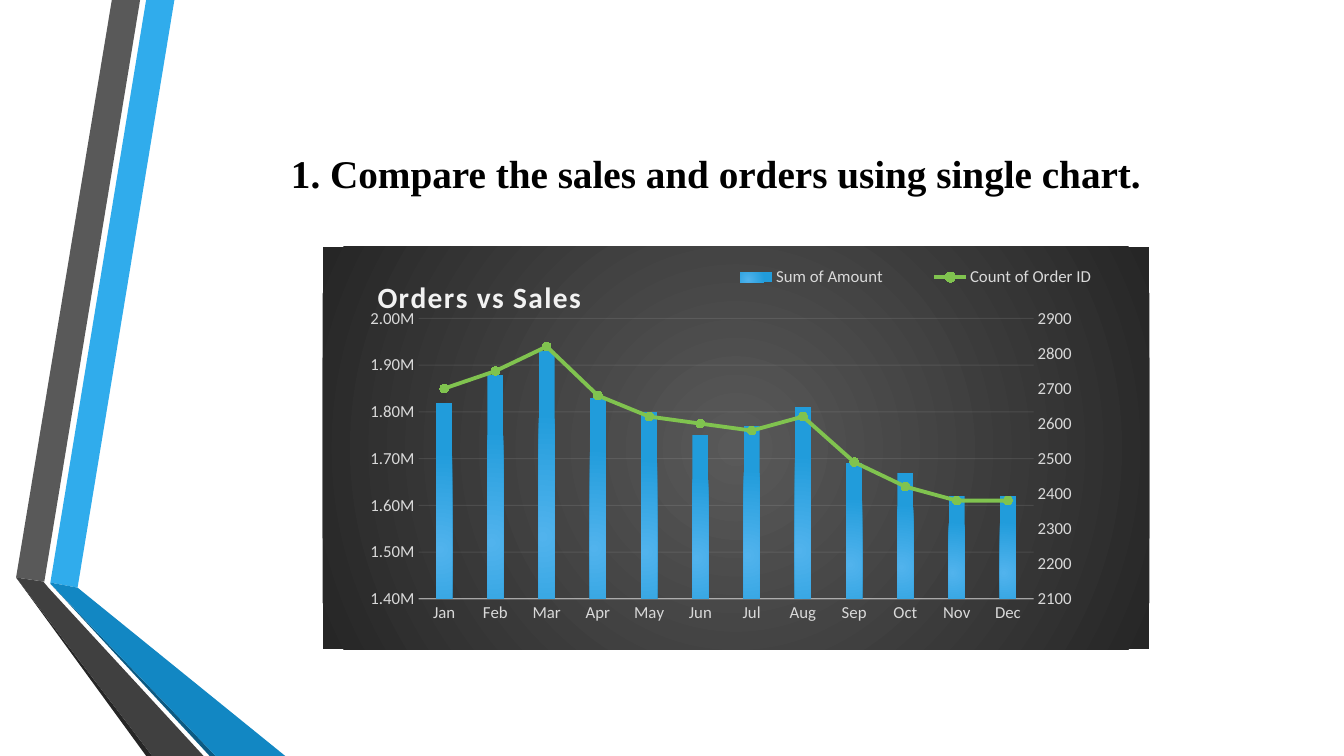
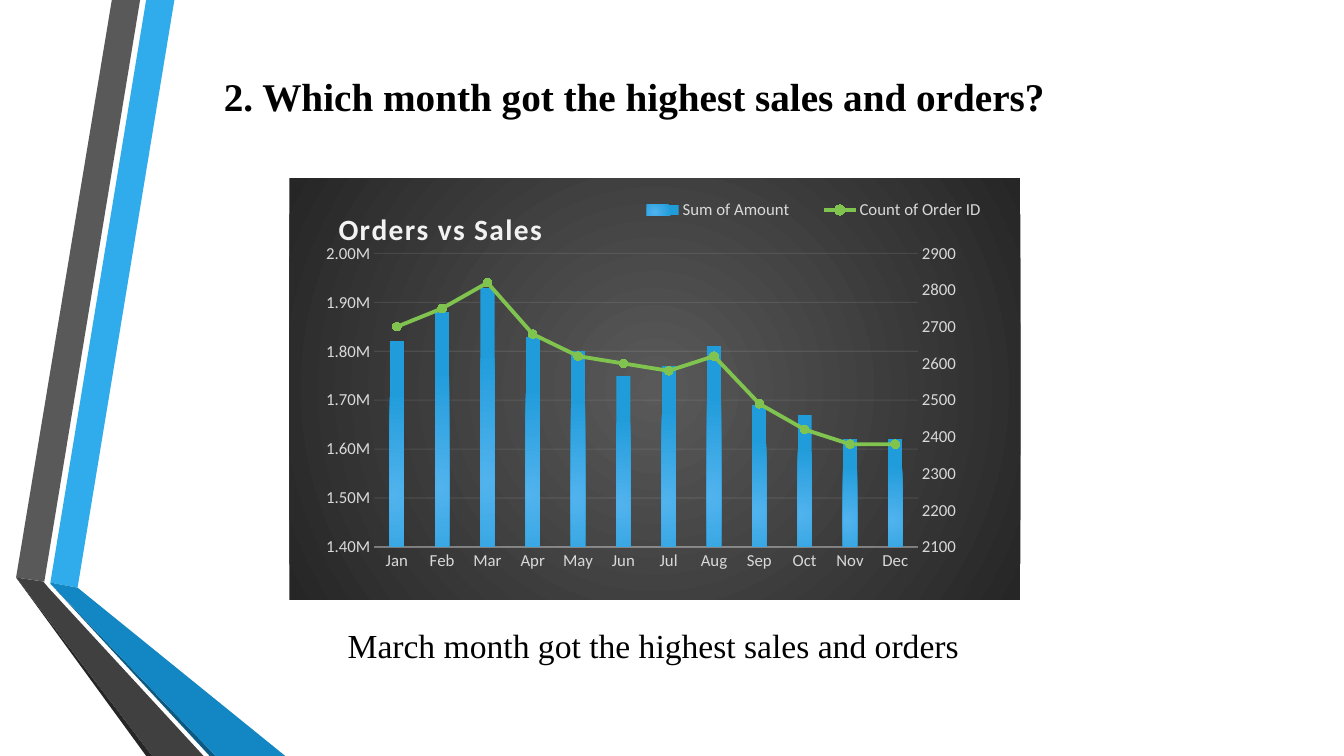
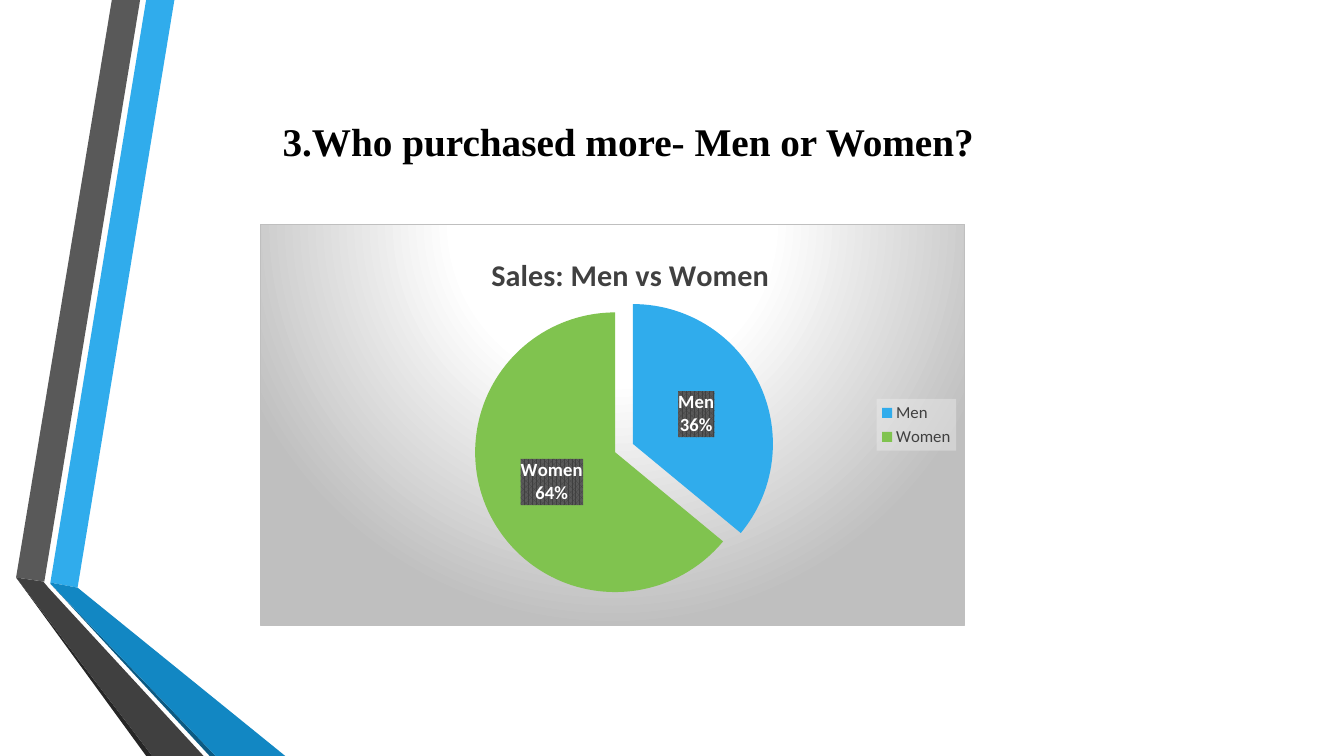
from lxml.etree import SubElement
from pptx import Presentation
from pptx.chart.axis import ValueAxis
from pptx.chart.data import CategoryChartData
from pptx.dml.color import RGBColor
from pptx.enum.chart import (XL_CHART_TYPE, XL_LABEL_POSITION, XL_LEGEND_POSITION,
                             XL_MARKER_STYLE, XL_TICK_MARK)
from pptx.enum.text import MSO_ANCHOR, MSO_AUTO_SIZE, PP_ALIGN
from pptx.oxml import parse_xml
from pptx.oxml.ns import nsdecls, qn
from pptx.util import Inches, Pt

TEXT_FONT, CHART_FONT = "Times New Roman", "Calibri"
BLACK, WHITE, BLUE, GREEN = "000000", "FFFFFF", "30ACEC", "80C34F"
CHARCOAL, PALE, AXIS_GREY, SILVER = "404040", "F2F2F2", "D9D9D9", "BFBFBF"

RIBBONS = [
    (BLUE, [(0.5, 5.78), (0.77, 5.83), (1.73, 0), (1.45, 0)]),
    ("595959", [(1.39, 0), (1.11, 0), (0.16, 5.73), (0.44, 5.77)]),
    ("262626", [(0.16, 5.73), (1.45, 7.5), (1.51, 7.5)]),
    ("0C5A82", [(0.5, 5.79), (2.08, 7.5), (2.14, 7.5)]),
    ("1287C3", [(0.5, 5.79), (2.14, 7.5), (2.83, 7.5), (0.77, 5.83), (0.5, 5.78)]),
    (CHARCOAL, [(2.02, 7.5), (0.48, 5.83), (0.43, 5.77), (0.16, 5.73), (1.51, 7.5)]),
]

MONTHS = ["Jan", "Feb", "Mar", "Apr", "May", "Jun",
          "Jul", "Aug", "Sep", "Oct", "Nov", "Dec"]
AMOUNTS = [1820000, 1880000, 1930000, 1830000, 1800000, 1750000,
           1770000, 1810000, 1690000, 1670000, 1620000, 1620000]
ORDERS = [2700, 2750, 2820, 2680, 2620, 2600, 2580, 2620, 2490, 2420, 2380, 2380]


def rgb(colour):
    """Turn a hex string into a colour."""
    return RGBColor.from_string(colour)


def style_font(font, size, colour, bold=False, face=CHART_FONT):
    """Set face, size, colour and weight of a font."""
    font.name, font.size, font.bold = face, Pt(size), bold
    font.color.rgb = rgb(colour)


def style_line(line, colour, width):
    """Give a line a solid colour and a width."""
    line.color.rgb = rgb(colour)
    line.width = Pt(width)


def fade(colour_nodes, percent):
    """Make solid colours partly transparent."""
    for node in colour_nodes:
        SubElement(node, qn("a:alpha"), val=str(percent * 1000))


def add_ribbons(slide, master):
    """Draw the folded ribbons and put them behind everything on the master."""
    ribbons = slide.shapes.add_group_shape()
    for colour, outline in RIBBONS:
        points = [(Inches(x), Inches(y)) for x, y in outline]
        builder = ribbons.shapes.build_freeform(*points[0])
        builder.add_line_segments(points[1:], close=True)
        ribbon = builder.convert_to_shape()
        ribbon.shadow.inherit = False
        ribbon.fill.solid()
        ribbon.fill.fore_color.rgb = rgb(colour)
        ribbon.line.fill.background()
    for number, properties in enumerate(ribbons.element.xpath(".//p:cNvPr"), 100):
        properties.set("id", str(number))
    master.shapes.element.insert(2, ribbons.element)


def fill_placeholder(placeholder, text, box, size, anchor, bold=False):
    """Move a placeholder and set its one centred line of text."""
    (placeholder.left, placeholder.top,
     placeholder.width, placeholder.height) = map(Inches, box)
    frame = placeholder.text_frame
    frame.text = text
    frame.auto_size = MSO_AUTO_SIZE.NONE
    frame.vertical_anchor = anchor
    paragraph = frame.paragraphs[0]
    paragraph.alignment = PP_ALIGN.CENTER
    paragraph.space_before = Pt(0)
    return paragraph, size, bold


def add_title(slide, text, box, anchor=MSO_ANCHOR.MIDDLE):
    """Write the slide's question into its title."""
    paragraph, size, bold = fill_placeholder(slide.shapes.title, text, box, 28, anchor, True)
    style_font(paragraph.font, size, BLACK, bold, TEXT_FONT)


def add_answer(slide, text, box):
    """Write the answer into the body placeholder, without a bullet."""
    paragraph, size, bold = fill_placeholder(
        slide.placeholders[1], text, box, 24, MSO_ANCHOR.BOTTOM)
    paragraph.space_after = Pt(6)
    properties = paragraph._p.get_or_add_pPr()
    properties.set("marL", "0")
    properties.set("indent", "0")
    SubElement(properties, qn("a:buNone"))
    style_font(paragraph.font, size, BLACK, bold, TEXT_FONT)


def radial_fill(stops, focus):
    """Build a circular gradient fill from stops and a focus rectangle in percent."""
    marks = "".join(f'<a:gs pos="{at * 1000}"><a:srgbClr val="{colour}"/></a:gs>'
                    for at, colour in stops)
    sides = " ".join(f'{side}="{value * 1000}"' for side, value in zip("ltrb", focus))
    return (f'<a:gradFill {nsdecls("a")}><a:gsLst>{marks}</a:gsLst>'
            f'<a:path path="circle"><a:fillToRect {sides}/></a:path></a:gradFill>')


def chart_properties(fill, border=None):
    """Build the fill and border of a part of a chart."""
    stroke = (f'<a:ln w="9525"><a:solidFill><a:srgbClr val="{border}"/></a:solidFill></a:ln>'
              if border else "<a:ln><a:noFill/></a:ln>")
    return parse_xml(f'<c:spPr {nsdecls("c", "a")}>{fill}{stroke}</c:spPr>')


def set_layout(part, box, target=""):
    """Place a chart part by fractions of the chart's size."""
    for old in part.findall(qn("c:layout")):
        part.remove(old)
    modes = "".join(f'<c:{axis}Mode val="edge"/>' for axis in "xy")
    sizes = "".join(f'<c:{name} val="{value}"/>' for name, value in zip("xywh", box))
    layout = parse_xml(f'<c:layout {nsdecls("c")}><c:manualLayout>{target}{modes}{sizes}'
                       '</c:manualLayout></c:layout>')
    overlay = part.find(qn("c:overlay"))
    if overlay is None:
        part.insert(0, layout)
    else:
        overlay.addprevious(layout)


def add_chart(slide, kind, data, box, title, title_style, title_at, plot_box, area, legend_colour):
    """Add a chart with its background, title, legend and plot area."""
    chart = slide.shapes.add_chart(kind, *map(Inches, box), data).chart
    style_font(chart.font, 12, legend_colour)
    space = chart.element
    for old in space.findall(qn("c:roundedCorners")):
        space.remove(old)
    body = space.find(qn("c:chart"))
    body.addprevious(parse_xml(f'<c:roundedCorners {nsdecls("c")} val="0"/>'))
    body.addnext(area)

    chart.has_title = True
    heading = chart.chart_title.text_frame
    heading.text = title
    style_font(heading.paragraphs[0].font, *title_style, True)
    set_layout(space.xpath("c:chart/c:title")[0], title_at)

    chart.has_legend = True
    chart.legend.position = XL_LEGEND_POSITION.RIGHT
    chart.legend.include_in_layout = False
    style_font(chart.legend.font, 12, legend_colour)
    set_layout(space.xpath("c:chart/c:plotArea")[0], plot_box,
               '<c:layoutTarget val="inner"/>')
    return chart


def style_axis(axis, number_format=None, scale=None):
    """Set labels, ticks and range of an axis and hide its line."""
    axis.major_tick_mark = axis.minor_tick_mark = XL_TICK_MARK.NONE
    style_font(axis.tick_labels.font, 12, AXIS_GREY)
    axis.format.line.fill.background()
    if scale:
        axis.minimum_scale, axis.maximum_scale, axis.major_unit = scale
        axis.tick_labels.number_format = number_format
        axis.tick_labels.number_format_is_linked = False


def move_to_second_axis(chart):
    """Turn the second series into a line on a right axis and return that axis."""
    bars = chart.element.xpath(".//c:barChart")[0]
    orders = bars.findall(qn("c:ser"))[1]
    for flag in orders.findall(qn("c:invertIfNegative")):
        orders.remove(flag)
    line = parse_xml(
        f'<c:lineChart {nsdecls("c")}><c:grouping val="standard"/><c:varyColors val="0"/>'
        '<c:marker val="1"/><c:axId val="5001"/><c:axId val="5002"/></c:lineChart>')
    line.insert(2, orders)
    bars.addnext(line)
    months = parse_xml(
        f'<c:catAx {nsdecls("c")}><c:axId val="5001"/><c:scaling/><c:delete val="1"/>'
        '<c:axPos val="b"/><c:crossAx val="5002"/></c:catAx>')
    counts = parse_xml(
        f'<c:valAx {nsdecls("c")}><c:axId val="5002"/><c:scaling/><c:delete val="0"/>'
        '<c:axPos val="r"/><c:tickLblPos val="nextTo"/><c:crossAx val="5001"/>'
        '<c:crosses val="max"/></c:valAx>')
    left_axis = chart.element.xpath(".//c:valAx")[0]
    left_axis.addnext(months)
    months.addnext(counts)
    return ValueAxis(counts)


def add_orders_vs_sales(slide, box):
    """Add the monthly chart of sales columns and an orders line."""
    data = CategoryChartData()
    data.categories = MONTHS
    data.add_series("Sum of Amount", AMOUNTS)
    data.add_series("Count of Order ID", ORDERS)
    area = chart_properties(radial_fill([(0, "595959"), (100, "262626")], (50, 50, 50, 50)))
    chart = add_chart(slide, XL_CHART_TYPE.COLUMN_CLUSTERED, data, box, "Orders vs Sales",
                      (21, PALE), (0.06, 0.06), (0.116, 0.178, 0.744, 0.697),
                      area, AXIS_GREY)
    space = chart.element
    for properties in space.xpath(".//c:title//a:defRPr"):
        properties.set("spc", "100")
    set_layout(space.xpath(".//c:legend")[0], (0.45, 0.035, 0.535, 0.08))

    style_axis(chart.category_axis)
    style_line(chart.category_axis.format.line, PALE, 1)
    sales_axis = chart.value_axis
    style_axis(sales_axis, '0.00,,"M"', (1400000, 2000000, 100000))
    sales_axis.has_major_gridlines = True
    style_line(sales_axis.major_gridlines.format.line, PALE, 0.75)
    fade(space.xpath(".//c:catAx/c:spPr/a:ln//a:srgbClr"), 54)
    fade(space.xpath(".//c:majorGridlines//a:srgbClr"), 10)
    style_axis(move_to_second_axis(chart), "General", (2100, 2900, 100))

    columns, line = chart.plots
    columns.gap_width, columns.overlap = 219, -27
    columns.vary_by_categories = False
    sales, orders = columns.series[0], line.series[0]
    sales.format.line.fill.background()
    sales_fill = radial_fill([(0, "51B3ED"), (100, "219CDB")], (50, 100, 100, 50))
    space.xpath(".//c:barChart/c:ser/c:spPr")[0].insert(0, parse_xml(sales_fill))
    style_line(orders.format.line, GREEN, 2.75)
    orders.smooth = False
    orders.marker.style, orders.marker.size = XL_MARKER_STYLE.CIRCLE, 6
    orders.marker.format.fill.solid()
    orders.marker.format.fill.fore_color.rgb = rgb(GREEN)
    style_line(orders.marker.format.line, GREEN, 0.75)


def add_men_vs_women(slide, box):
    """Add the pie of sales by gender."""
    data = CategoryChartData()
    data.categories = ["Men", "Women"]
    data.add_series("Series 1", [36, 64])
    area = chart_properties(
        radial_fill([(0, WHITE), (39, WHITE), (100, SILVER)], (50, -80, 50, 180)), SILVER)
    chart = add_chart(slide, XL_CHART_TYPE.PIE, data, box, "Sales: Men vs Women",
                      (21.6, CHARCOAL), (0.32, 0.06), (0.202, 0.185, 0.629, 0.746),
                      area, CHARCOAL)
    space = chart.element
    legend_fill = chart_properties(
        f'<a:solidFill><a:srgbClr val="{PALE}"><a:alpha val="39000"/></a:srgbClr></a:solidFill>')
    space.xpath(".//c:legend/c:overlay")[0].addnext(legend_fill)

    pie = chart.plots[0]
    pie.vary_by_categories = True
    shares = pie.series[0]
    for index, colour in enumerate([BLUE, GREEN]):
        wedge = shares.points[index].format
        wedge.fill.solid()
        wedge.fill.fore_color.rgb = rgb(colour)
        wedge.line.fill.background()
    space.xpath(".//c:dPt")[0].addprevious(
        parse_xml(f'<c:explosion {nsdecls("c")} val="7"/>'))

    labels = shares.data_labels
    labels.show_value = False
    labels.show_category_name = labels.show_percentage = True
    labels.number_format, labels.number_format_is_linked = "0%", False
    labels.position = XL_LABEL_POSITION.CENTER
    style_font(labels.font, 13.3, WHITE, True)
    space.xpath(".//c:dLbls/c:txPr")[0].addprevious(chart_properties(
        f'<a:pattFill prst="pct75"><a:fgClr><a:srgbClr val="{CHARCOAL}"/></a:fgClr>'
        '<a:bgClr><a:srgbClr val="595959"/></a:bgClr></a:pattFill>'))
    space.xpath(".//c:dLbls/c:showBubbleSize")[0].addnext(
        parse_xml(f'<c:separator {nsdecls("c")}>\n</c:separator>'))


def main():
    """Build the three question slides."""
    deck = Presentation()
    deck.slide_width, deck.slide_height = Inches(13.33), Inches(7.5)
    title_and_body, title_only = deck.slide_layouts[1], deck.slide_layouts[5]

    compare = deck.slides.add_slide(title_only)
    add_ribbons(compare, deck.slide_master)
    add_title(compare, "1. Compare the sales and orders using single chart.",
              (1.62, 0.75, 10.96, 1.92))
    add_orders_vs_sales(compare, (3.2, 2.45, 8.2, 3.99))

    highest = deck.slides.add_slide(title_and_body)
    add_title(highest, "2. Which month got the highest sales and orders?",
              (0.75, 0.67, 11.08, 0.94), MSO_ANCHOR.TOP)
    add_answer(highest, "March month got the highest sales and orders",
               (1, 3.23, 10.96, 3.42))
    add_orders_vs_sales(highest, (2.87, 1.77, 7.25, 4.18))

    buyers = deck.slides.add_slide(title_only)
    add_title(buyers, "3.Who purchased more- Men or Women?", (0.69, 0.84, 11.08, 1.11))
    add_men_vs_women(buyers, (2.58, 2.22, 6.99, 3.99))

    deck.save("out.pptx")


if __name__ == "__main__":
    main()
